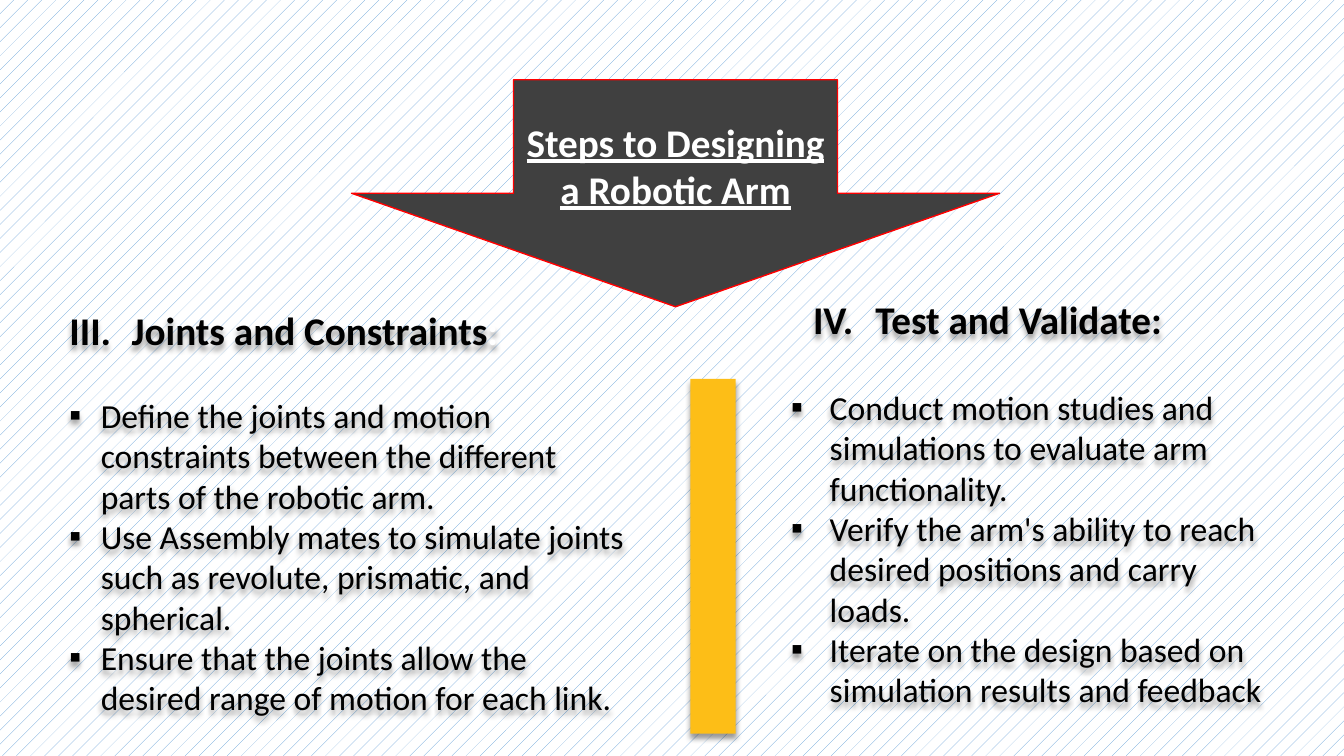
from lxml.etree import SubElement
from pptx import Presentation
from pptx.dml.color import RGBColor
from pptx.enum.dml import MSO_PATTERN
from pptx.enum.shapes import MSO_SHAPE
from pptx.enum.text import MSO_ANCHOR, MSO_AUTO_SIZE, PP_ALIGN
from pptx.oxml.ns import qn
from pptx.util import Cm, Pt

BLACK, WHITE = "000000", "FFFFFF"
HEADING = {"size": Pt(28), "bold": True}
BODY = {"size": Pt(24)}

JOINTS = [
    "Define the joints and motion constraints between the different parts of the robotic arm.",
    "Use Assembly mates to simulate joints such as revolute, prismatic, and spherical.",
    "Ensure that the joints allow the desired range of motion for each link.",
]
TESTS = [
    "Conduct motion studies and simulations to evaluate arm functionality.",
    "Verify the arm's ability to reach desired positions and carry loads.",
    "Iterate on the design based on simulation results and feedback",
]


def rgb(value):
    return RGBColor.from_string(value)


def lengths(*values):
    return [Cm(v) for v in values]


def set_pattern_background(s, fore, back):
    fill = s.background.fill
    fill.patterned()
    fill.pattern = MSO_PATTERN.PERCENT_5
    fill.fore_color.rgb, fill.back_color.rgb = rgb(fore), rgb(back)


def add_shadow(sp):
    """Cast a soft black shadow straight down."""
    sp.shadow.inherit = False
    effects = sp._element.spPr.find(qn("a:effectLst"))
    shadow = SubElement(effects, qn("a:outerShdw"), blurRad=str(Pt(4)),
                        dist=str(Pt(3)), dir="5400000", algn="t", rotWithShape="0")
    color = SubElement(shadow, qn("a:srgbClr"), val=BLACK)
    SubElement(color, qn("a:alpha"), val="40000")


def add_block(s, kind, box, fill, line=None):
    sp = s.shapes.add_shape(kind, *lengths(*box))
    sp.shadow.inherit = False
    sp.fill.solid()
    sp.fill.fore_color.rgb = rgb(fill)
    if line:
        sp.line.color.rgb = rgb(line)
        sp.line.width = Pt(1)
    else:
        sp.line.fill.background()
    return sp


def set_frame(tf):
    frame = {"word_wrap": True, "auto_size": MSO_AUTO_SIZE.NONE,
             "vertical_anchor": MSO_ANCHOR.MIDDLE}
    for name, value in frame.items():
        setattr(tf, name, value)


def add_run(p, text, style, color=BLACK):
    r = p.add_run()
    r.text = text
    for name, value in {"name": "Calibri", **style}.items():
        setattr(r.font, name, value)
    r.font.color.rgb = rgb(color)


def add_title(s, text, box):
    sp = s.shapes.title
    sp.left, sp.top, sp.width, sp.height = lengths(*box)
    set_frame(sp.text_frame)
    p = sp.text_frame.paragraphs[0]
    p.alignment = PP_ALIGN.CENTER
    add_run(p, text, {**HEADING, "underline": True}, WHITE)


def add_text_box(s, box):
    sp = s.shapes.add_textbox(*lengths(*box))
    add_shadow(sp)
    set_frame(sp.text_frame)
    return sp.text_frame


def hang(p, indent):
    """Set a hanging indent and return the paragraph properties."""
    pPr = p._p.get_or_add_pPr()
    pPr.set("marL", str(Cm(indent)))
    pPr.set("indent", str(-Cm(indent)))
    return pPr


def add_numbered_heading(s, box, number, runs):
    p = add_text_box(s, box).paragraphs[0]
    SubElement(hang(p, 1.57), qn("a:buAutoNum"), type="romanUcPeriod", startAt=str(number))
    for text, color in runs:
        add_run(p, text, HEADING, color)


def add_bullets(s, box, items, indent):
    tf = add_text_box(s, box)
    for i, item in enumerate(items):
        p = tf.add_paragraph() if i else tf.paragraphs[0]
        pPr = hang(p, indent)
        SubElement(pPr, qn("a:buFont"), typeface="Calibri")
        SubElement(pPr, qn("a:buChar"), char="▪")
        add_run(p, item, BODY)


def main():
    prs = Presentation()
    prs.slide_width, prs.slide_height = lengths(33.87, 19.05)
    s = prs.slides.add_slide(prs.slide_layouts[5])
    set_pattern_background(s, "5B9BD5", WHITE)

    arrow = add_block(s, MSO_SHAPE.DOWN_ARROW, (8.86, 2.01, 16.33, 5.72), "404040", "FF0000")
    title = s.shapes.title._element
    arrow._element.addnext(title)  # the title lies on the arrow
    add_title(s, "Steps to Designing a Robotic Arm", (12.94, 2.01, 8.17, 4.29))

    add_bullets(s, (1.5, 9.55, 14.66, 8.94), JOINTS, 0.79)
    add_numbered_heading(s, (1.5, 7.72, 11.38, 1.19), 3,
                         [("Joints and Constraints", BLACK), (":", WHITE)])
    add_numbered_heading(s, (20.24, 7.44, 11.38, 1.19), 4, [("Test and Validate:", BLACK)])
    add_bullets(s, (19.69, 9.55, 12.75, 8.53), TESTS, 0.97)

    add_shadow(add_block(s, MSO_SHAPE.RECTANGLE, (17.4, 9.55, 1.14, 8.94), "FDBE17"))
    prs.save("out.pptx")


if __name__ == "__main__":
    main()
